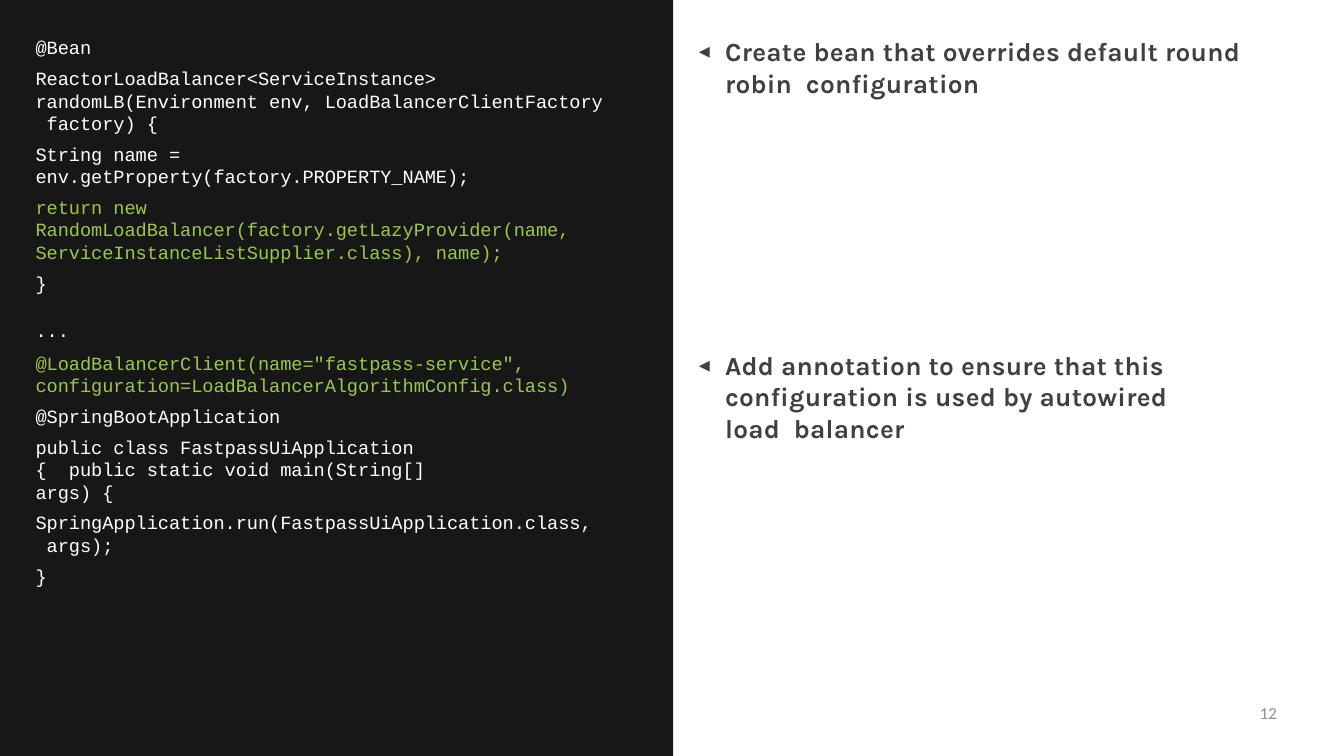
from dataclasses import dataclass

from lxml import etree
from pptx import Presentation
from pptx import util as u
from pptx.dml.color import RGBColor
from pptx.enum import shapes, text
from pptx.oxml.ns import qn

COLORS = {
    "dark": "171717",
    "white": "FFFFFF",
    "green": "9BC750",
    "heading": "404040",
    "number": "8C8C8C",
}


@dataclass(frozen=True)
class Style:
    font: str
    size: float
    bold: bool = False
    tracking: float = 0


@dataclass(frozen=True)
class Line:
    words: str
    color: str = "white"
    before: float = 9
    right: float = 0
    spacing: float = 1


@dataclass(frozen=True)
class Block:
    left: float
    top: float
    width: float
    height: float
    inset: float
    style: Style
    lines: tuple[Line, ...]
    bullet: str = ""
    align: text.PP_ALIGN = text.PP_ALIGN.LEFT


CODE = Style("Courier New", 20, tracking=-0.1)
HEADING = Style("Karla", 28, bold=True, tracking=0.3)
NUMBER = Style("Calibri", 18)

BLOCKS = (
    Block(0.53, 0.4, 8.53, 3.99, 0.01, CODE, (
        Line("@Bean  ReactorLoadBalancer<ServiceInstance>", before=0.9, right=1.9, spacing=1.38),
        Line("randomLB(Environment env, LoadBalancerClientFactory  factory) {", before=0),
        Line("String name =  env.getProperty(factory.PROPERTY_NAME);"),
        Line("return new  RandomLoadBalancer(factory.getLazyProvider(name,"
             "  ServiceInstanceListSupplier.class), name);", "green"),
        Line("}"),
    )),
    Block(0.53, 4.59, 8.36, 3.83, 0.16, CODE, (
        Line("...", before=11.7),
        Line('@LoadBalancerClient(name="fastpass-service",'
             "  configuration=LoadBalancerAlgorithmConfig.class)", "green", 10.7),
        Line("@SpringBootApplication"),
        Line("public class FastpassUiApplication {  public static void main(String[] args) {",
             right=2.45),
        Line("SpringApplication.run(FastpassUiApplication.class,  args);"),
        Line("}"),
    )),
    Block(10.38, 0.52, 9.03, 0.96, 0.01, HEADING, (
        Line("Create bean that overrides default round robin  configuration",
             "heading", 0.9, right=0.2),
    ), bullet="◀"),
    Block(10.38, 5.19, 7.69, 1.43, 0.01, HEADING, (
        Line("Add annotation to ensure that this  configuration is used by autowired load  balancer",
             "heading", 0.9),
    ), bullet="◀"),
    Block(14.4, 10.46, 4.6, 0.56, 0, NUMBER, (Line("12", "number", 0),),
          align=text.PP_ALIGN.RIGHT),
)


def add_panel(slide, left: float, width: float, color: str) -> None:
    panel = slide.shapes.add_shape(
        shapes.MSO_SHAPE.RECTANGLE, u.Inches(left), 0, u.Inches(width), u.Inches(11.25))
    panel.shadow.inherit = False
    panel.fill.solid()
    panel.fill.fore_color.rgb = RGBColor.from_string(COLORS[color])
    panel.line.fill.background()


def add_bullet(properties, character: str) -> None:
    properties.set("marL", str(u.Inches(0.41)))
    properties.set("indent", str(u.Inches(-0.39)))
    defaults = properties.find(qn("a:defRPr"))
    for tag, name, value in (
        ("a:buSzPct", "val", "70000"),
        ("a:buFont", "typeface", "DejaVu Sans Mono"),
        ("a:buChar", "char", character),
    ):
        element = etree.Element(qn(tag))
        element.set(name, value)
        defaults.addprevious(element)


def add_line(paragraph, line: Line, block: Block) -> None:
    paragraph.text = line.words
    paragraph.alignment = block.align
    paragraph.space_before = u.Pt(line.before)
    paragraph.line_spacing = line.spacing
    font = paragraph.font
    font.name = block.style.font
    font.size = u.Pt(block.style.size)
    font.bold = block.style.bold
    font.color.rgb = RGBColor.from_string(COLORS[line.color])
    properties = paragraph._p.get_or_add_pPr()
    properties.set("marR", str(u.Inches(line.right)))
    properties.find(qn("a:defRPr")).set("spc", str(round(block.style.tracking * 100)))
    if block.bullet:
        add_bullet(properties, block.bullet)


def add_block(slide, block: Block) -> None:
    box = slide.shapes.add_textbox(
        *(u.Inches(value) for value in (block.left, block.top, block.width, block.height)))
    frame = box.text_frame
    frame.word_wrap = True
    frame.margin_left = frame.margin_right = frame.margin_bottom = 0
    frame.margin_top = u.Inches(block.inset)
    for index, line in enumerate(block.lines):
        paragraph = frame.add_paragraph() if index else frame.paragraphs[0]
        add_line(paragraph, line, block)


presentation = Presentation()
presentation.slide_width = u.Inches(20)
presentation.slide_height = u.Inches(11.25)
slide = presentation.slides.add_slide(presentation.slide_layouts[6])
add_panel(slide, 0, 10.02, "dark")
add_panel(slide, 10.02, 9.98, "white")
for block in BLOCKS:
    add_block(slide, block)
presentation.save("out.pptx")
